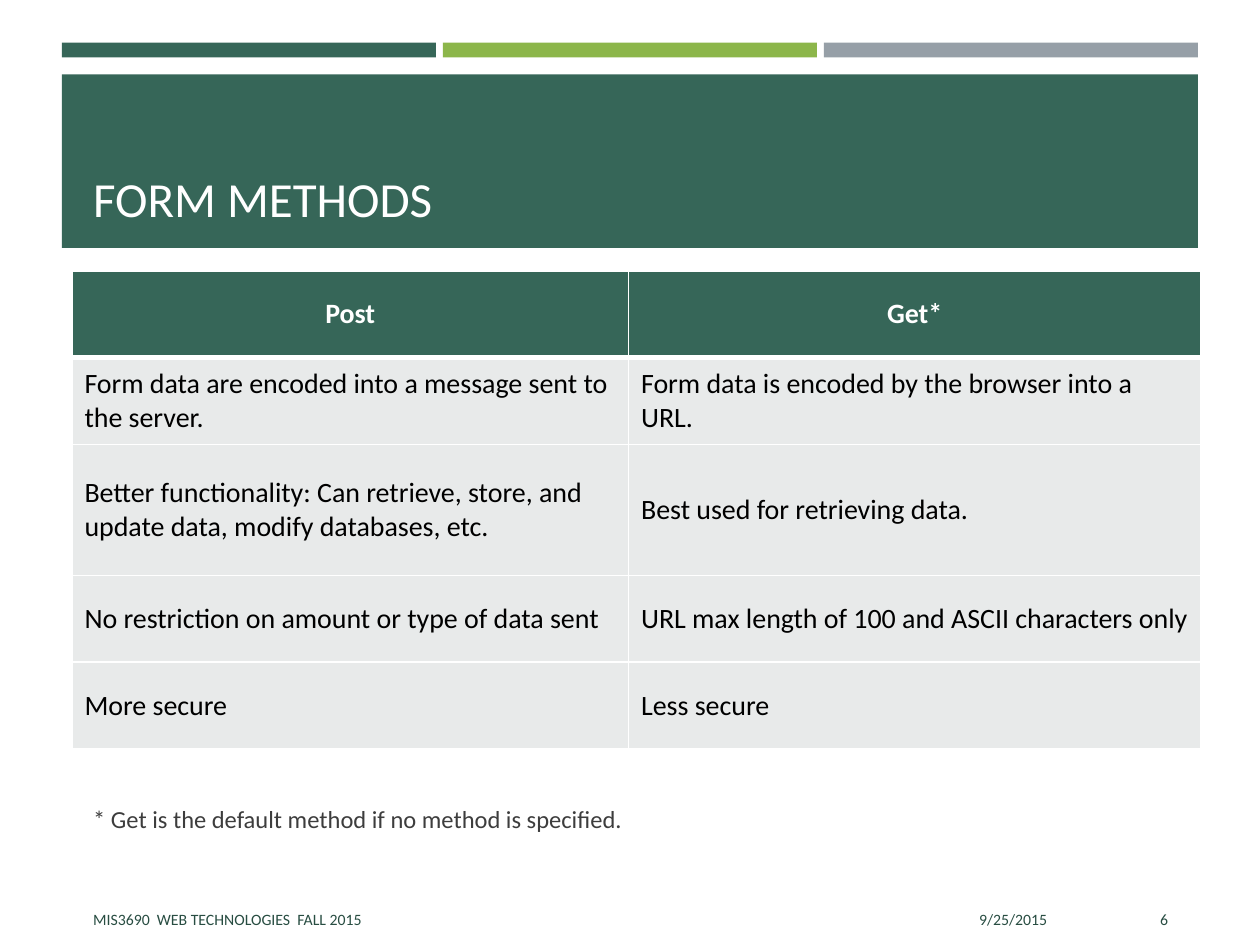
from lxml.etree import SubElement
from pptx import Presentation
from pptx.dml.color import RGBColor
from pptx.enum.shapes import MSO_SHAPE
from pptx.enum.text import MSO_ANCHOR, PP_ALIGN
from pptx.oxml.ns import qn
from pptx.util import Cm, Pt

GREEN, LIME, GRAY = "366658", "8CB64A", "969FA7"
WHITE, BLACK, DARK, FOOTER, PALE = "FFFFFF", "000000", "3D3D3D", "284D42", "E8EAEA"


def color(value):
    return RGBColor.from_string(value)


def write(frame, text, size, ink, align=PP_ALIGN.LEFT, bold=False):
    frame.text = text
    para = frame.paragraphs[0]
    para.alignment = align
    span = para.runs[0]
    span.font.name = "Calibri"
    span.font.size = Pt(size)
    span.font.bold = bold
    span.font.color.rgb = color(ink)
    return para


deck = Presentation()
deck.slide_width, deck.slide_height = Cm(25.4), Cm(19.05)
page = deck.slides.add_slide(deck.slide_layouts[6])

bands = [
    (1.25, 0.86, 7.54, 0.3, GREEN),
    (8.93, 0.86, 7.54, 0.3, LIME),
    (16.61, 0.86, 7.54, 0.3, GRAY),
    (1.25, 1.5, 22.9, 3.5, GREEN),
]
for left, top, width, height, fill in bands:
    band = page.shapes.add_shape(
        MSO_SHAPE.RECTANGLE, Cm(left), Cm(top), Cm(width), Cm(height))
    band.shadow.inherit = False
    band.fill.solid()
    band.fill.fore_color.rgb = color(fill)
    band.line.fill.background()

labels = [
    ("FORM METHODS", 1.63, 1.7, 22.2, 3.0, 28, WHITE, MSO_ANCHOR.BOTTOM, PP_ALIGN.LEFT),
    ("* Get is the default method if no method is specified.",
     1.63, 16.08, 22.2, 1.47, 14, DARK, MSO_ANCHOR.TOP, PP_ALIGN.LEFT),
    ("9/25/2015", 15.44, 18.03, 5.92, 1.02, 9, FOOTER, MSO_ANCHOR.MIDDLE, PP_ALIGN.RIGHT),
    ("MIS3690  WEB TECHNOLOGIES  FALL 2015",
     1.63, 18.03, 13.54, 1.02, 9, FOOTER, MSO_ANCHOR.MIDDLE, PP_ALIGN.LEFT),
    ("6", 21.67, 18.03, 2.13, 1.02, 9, FOOTER, MSO_ANCHOR.MIDDLE, PP_ALIGN.RIGHT),
]
for text, left, top, width, height, size, ink, anchor, align in labels:
    box = page.shapes.add_textbox(Cm(left), Cm(top), Cm(width), Cm(height))
    box.text_frame.word_wrap = True
    box.text_frame.vertical_anchor = anchor
    write(box.text_frame, text, size, ink, align)

methods = [
    ("Post", "Get*"),
    ("Form data are encoded into a message sent to the server.",
     "Form data is encoded by the browser into a URL."),
    ("Better functionality: Can retrieve, store, and update data, modify databases, etc.",
     "Best used for retrieving data."),
    ("No restriction on amount or type of data sent",
     "URL max length of 100 and ASCII characters only"),
    ("More secure", "Less secure"),
]
widths = [11.22, 11.54]
heights = [1.75, 1.75, 2.64, 1.75, 1.75]
table = page.shapes.add_table(
    len(methods), len(widths), Cm(1.45), Cm(5.46), Cm(sum(widths)), Cm(sum(heights))).table
for column, width in zip(table.columns, widths):
    column.width = Cm(width)
for row, height in zip(table.rows, heights):
    row.height = Cm(height)

for row_index, texts in enumerate(methods):
    header = row_index == 0
    for column_index, text in enumerate(texts):
        cell = table.cell(row_index, column_index)
        cell.vertical_anchor = MSO_ANCHOR.MIDDLE
        write(cell.text_frame, text, 16, WHITE if header else BLACK,
              PP_ALIGN.CENTER if header else PP_ALIGN.LEFT, header)
        properties = cell._tc.get_or_add_tcPr()
        for side in ("lnL", "lnR", "lnT", "lnB"):
            heavy = (row_index, side) in ((0, "lnB"), (1, "lnT"))
            border = SubElement(properties, qn(f"a:{side}"), w=str(Pt(3 if heavy else 1)))
            paint = SubElement(border, qn("a:solidFill"))
            SubElement(paint, qn("a:srgbClr"), val=WHITE)
        cell.fill.solid()
        cell.fill.fore_color.rgb = color(GREEN if header else PALE)

deck.save("out.pptx")
